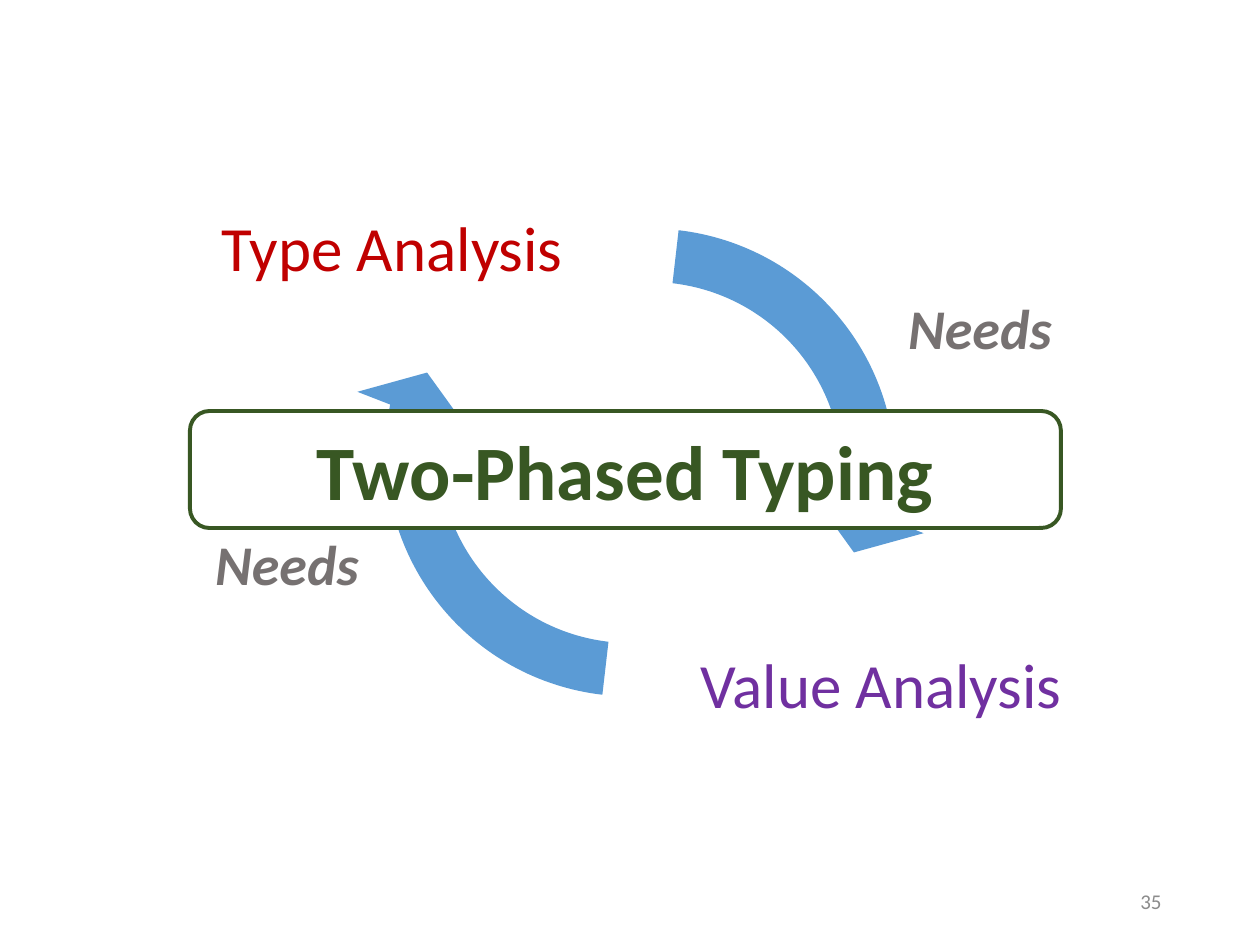
"""Build the two-phased typing slide: two analyses that need each other."""
from pptx import Presentation
from pptx.dml.color import RGBColor
from pptx.enum.shapes import MSO_SHAPE as Shape
from pptx.enum.text import MSO_ANCHOR as Anchor, PP_ALIGN as Align
from pptx.util import Pt

SCALE = 914400 / 126


def px(*lengths):
    return [round(length * SCALE) for length in lengths]


def color(value):
    return RGBColor.from_string(value)


deck = Presentation()
deck.slide_width, deck.slide_height = px(1260, 945)
slide = deck.slides.add_slide(deck.slide_layouts[6])

cycle = [
    ((350, 171, 561, 561), (78.54, 22.62)),
    ((370, 193, 561, 561), (186.54, 130.62)),
]
for box, (head_angle, tail_angle) in cycle:
    arrow = slide.shapes.add_shape(Shape.CIRCULAR_ARROW, *px(*box))
    arrow.rotation = 58.9
    for index, value in enumerate((0.095, 6.84, head_angle, tail_angle, 0.111)):
        arrow.adjustments[index] = value
    arrow.shadow.inherit = False
    arrow.fill.solid()
    arrow.fill.fore_color.rgb = color("5B9BD5")
    arrow.line.fill.background()

banner = slide.shapes.add_shape(Shape.ROUNDED_RECTANGLE, *px(190, 411, 871, 117))
banner.shadow.inherit = False
banner.fill.solid()
banner.fill.fore_color.rgb = color("FFFFFF")
banner.line.color.rgb = color("385723")
banner.line.width = Pt(2.25)

analysis = {"size": Pt(36)}
needs = {"size": Pt(32), "bold": True, "italic": True}
labels = [
    ("Type Analysis", (202, 202, 381, 89), Align.CENTER, Anchor.TOP, "C00000", analysis),
    ("Value Analysis", (688, 639, 489, 89), Align.LEFT, Anchor.TOP, "7030A0", analysis),
    ("Needs", (202, 523, 170, 81), Align.CENTER, Anchor.TOP, "767171", needs),
    ("Needs", (895, 287, 170, 81), Align.CENTER, Anchor.TOP, "767171", needs),
    ("Two-Phased Typing", None, Align.CENTER, Anchor.MIDDLE, "385723",
     {"size": Pt(44), "bold": True}),
    ("35", (890, 876, 284, 50), Align.RIGHT, Anchor.MIDDLE, "8C8C8C", {"size": Pt(12)}),
]
for wording, box, alignment, anchor, ink, style in labels:
    holder = slide.shapes.add_textbox(*px(*box)) if box else banner
    frame = holder.text_frame
    frame.word_wrap = wording != "Needs"
    frame.vertical_anchor = anchor
    paragraph = frame.paragraphs[0]
    paragraph.alignment = alignment
    run = paragraph.add_run()
    run.text = wording
    run.font.color.rgb = color(ink)
    for attribute, value in {"name": "Calibri", **style}.items():
        setattr(run.font, attribute, value)

deck.save("out.pptx")
